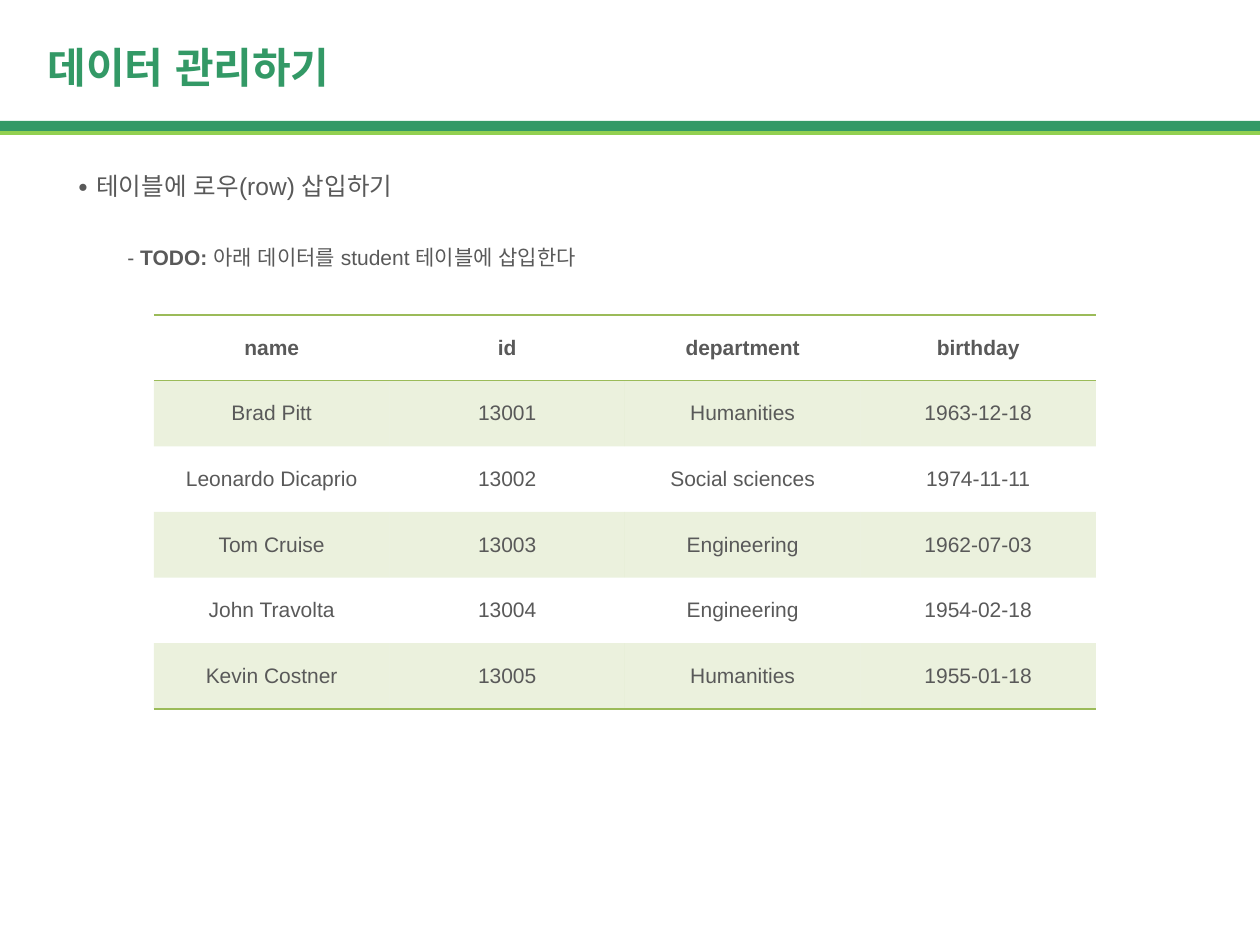
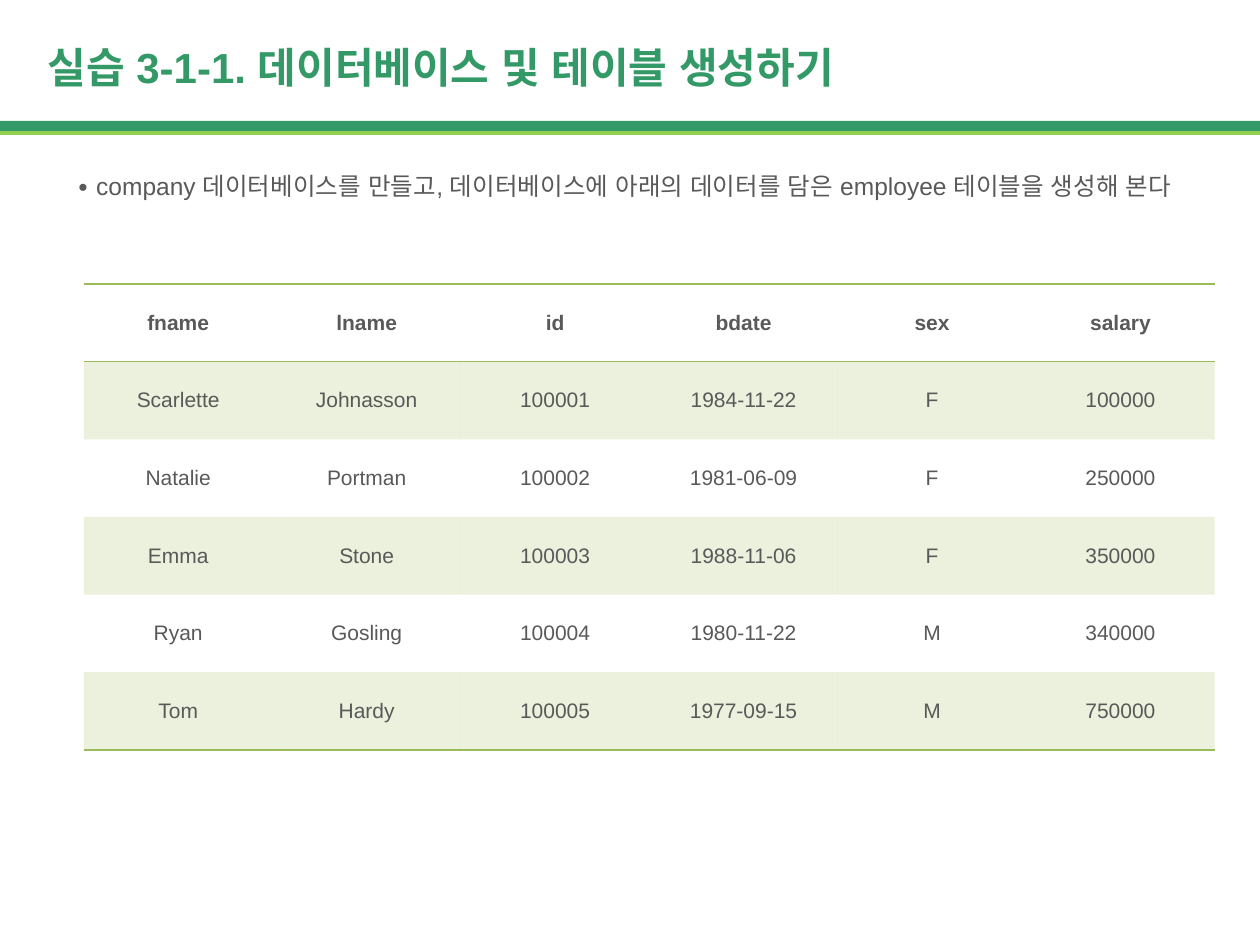
import dataclasses

import pptx
import pptx.dml.color
import pptx.enum.shapes
import pptx.enum.text
import pptx.oxml
import pptx.oxml.ns
import pptx.util

EMU_PER_PX = 914400 / 126
SLIDE_SIZE = (1260, 945)
NO_GRID_STYLE = "{2D5ABB26-0587-4C30-8999-92F81FD0307C}"


@dataclasses.dataclass(frozen=True)
class Theme:
    """Colours, fonts and type sizes shared by the slides."""

    green: str = "339966"
    lime: str = "92D050"
    olive: str = "9BBB59"
    ink: str = "595959"
    font: str = "Arial"
    bullet_font: str = "Noto Sans CJK KR"
    title: int = 24
    topic: int = 14
    detail: int = 12
    rule: int = 1
    band_alpha: int = 20


THEME = Theme()
TITLE_BOX = (35, 35, 63)
BANDS = (((0, 125, 1260, 10), THEME.lime), ((0, 121, 1260, 10), THEME.green))

STUDENTS = (
    ("name", "id", "department", "birthday"),
    ("Brad Pitt", "13001", "Humanities", "1963-12-18"),
    ("Leonardo Dicaprio", "13002", "Social sciences", "1974-11-11"),
    ("Tom Cruise", "13003", "Engineering", "1962-07-03"),
    ("John Travolta", "13004", "Engineering", "1954-02-18"),
    ("Kevin Costner", "13005", "Humanities", "1955-01-18"),
)
EMPLOYEES = (
    ("fname", "lname", "id", "bdate", "sex", "salary"),
    ("Scarlette", "Johnasson", "100001", "1984-11-22", "F", "100000"),
    ("Natalie", "Portman", "100002", "1981-06-09", "F", "250000"),
    ("Emma", "Stone", "100003", "1988-11-06", "F", "350000"),
    ("Ryan", "Gosling", "100004", "1980-11-22", "M", "340000"),
    ("Tom", "Hardy", "100005", "1977-09-15", "M", "750000"),
)


def px(*lengths):
    """Turn pixel lengths into EMU."""
    return [pptx.util.Emu(round(length * EMU_PER_PX)) for length in lengths]


def rgb(colour):
    """Turn a hex string into a colour value."""
    return pptx.dml.color.RGBColor.from_string(colour)


def add_run(paragraph, text, size, colour=THEME.ink, bold=False, name=THEME.font):
    """Add one formatted run, with the same font for Latin and Korean."""
    run = paragraph.add_run()
    run.text = text
    for key, value in {"size": pptx.util.Pt(size), "bold": bold, "name": name}.items():
        setattr(run.font, key, value)
    run.font.color.rgb = rgb(colour)
    east_asian = pptx.oxml.parse_xml(
        f'<a:ea {pptx.oxml.ns.nsdecls("a")} typeface="{name}"/>'
    )
    run.font._element.find(pptx.oxml.ns.qn("a:latin")).addnext(east_asian)


def add_line(slide, box, runs, wrap=True):
    """Place a text box that holds one paragraph of runs."""
    frame = slide.shapes.add_textbox(*px(*box)).text_frame
    settings = {
        "word_wrap": wrap,
        "auto_size": pptx.enum.text.MSO_AUTO_SIZE.SHAPE_TO_FIT_TEXT,
    }
    for key, value in settings.items():
        setattr(frame, key, value)
    for run in runs:
        add_run(frame.paragraphs[0], **run)


def add_header(slide, title, width):
    """Draw the two bands and the title above them."""
    for box, colour in BANDS:
        band = slide.shapes.add_shape(
            pptx.enum.shapes.MSO_SHAPE.RECTANGLE, *px(*box)
        )
        band.shadow.inherit = False
        band.fill.solid()
        band.fill.fore_color.rgb = rgb(colour)
        band.line.fill.background()
    left, top, height = TITLE_BOX
    heading = {"text": title, "size": THEME.title, "colour": THEME.green, "bold": True}
    add_line(slide, (left, top, width, height), [heading], wrap=False)


def add_topic(slide, text, height):
    """Place the bulleted topic line."""
    bullet = {"text": "∙ ", "size": THEME.topic, "name": THEME.bullet_font}
    add_line(slide, (63, 165, 1123, height), [bullet, {"text": text, "size": THEME.topic}])


def add_rule(cell, side):
    """Rule one side of a table cell, lnT or lnB."""
    properties = cell._tc.get_or_add_tcPr()
    rule = pptx.oxml.parse_xml(
        f'<a:{side} {pptx.oxml.ns.nsdecls("a")} w="{pptx.util.Pt(THEME.rule)}">'
        f'<a:solidFill><a:srgbClr val="{THEME.olive}"/></a:solidFill></a:{side}>'
    )
    position = len(properties.findall(pptx.oxml.ns.qn("a:lnT")))
    properties.insert(position, rule)


def fill_band(cell):
    """Tint a cell of a banded row."""
    cell.fill.solid()
    cell.fill.fore_color.rgb = rgb(THEME.olive)
    colour = next(cell._tc.tcPr.iter(pptx.oxml.ns.qn("a:srgbClr")))
    alpha = pptx.oxml.parse_xml(
        f'<a:alpha {pptx.oxml.ns.nsdecls("a")} val="{THEME.band_alpha * 1000}"/>'
    )
    colour.append(alpha)


def add_records(slide, box, records):
    """Draw a ruled, banded table with a bold header row."""
    frame = slide.shapes.add_table(len(records), len(records[0]), *px(*box))
    table = frame.table
    table._tbl.tblPr.find(pptx.oxml.ns.qn("a:tableStyleId")).text = NO_GRID_STYLE
    last = len(records) - 1
    for row, record in enumerate(records):
        for column, value in enumerate(record):
            cell = table.cell(row, column)
            cell.vertical_anchor = pptx.enum.text.MSO_ANCHOR.MIDDLE
            paragraph = cell.text_frame.paragraphs[0]
            paragraph.alignment = pptx.enum.text.PP_ALIGN.CENTER
            add_run(paragraph, value, THEME.detail, bold=row == 0)
            if row % 2:
                fill_band(cell)
            else:
                cell.fill.background()
            if row == 0:
                add_rule(cell, "lnT")
            if row in (0, last):
                add_rule(cell, "lnB")


def build_student_slide(slide):
    """Build the slide on inserting rows."""
    add_header(slide, "데이터 관리하기", 334)
    add_topic(slide, "테이블에 로우(row) 삽입하기", 43)
    task = [
        {"text": "- ", "size": THEME.detail},
        {"text": "TODO: ", "size": THEME.detail, "bold": True},
        {"text": "아래 데이터를 student 테이블에 삽입한다", "size": THEME.detail},
    ]
    add_line(slide, (115, 238, 1123, 38), task)
    add_records(slide, (154, 315, 942, 394), STUDENTS)


def build_employee_slide(slide):
    """Build the exercise slide on creating a table."""
    add_header(slide, "실습 3-1-1. 데이터베이스 및 테이블 생성하기", 873)
    add_topic(
        slide,
        "company 데이터베이스를 만들고, 데이터베이스에 아래의 데이터를 담은 "
        "employee 테이블을 생성해 본다",
        72,
    )
    add_records(slide, (84, 284, 1131, 466), EMPLOYEES)


def main():
    """Build and save the presentation."""
    deck = pptx.Presentation()
    deck.slide_width, deck.slide_height = px(*SLIDE_SIZE)
    for build in (build_student_slide, build_employee_slide):
        build(deck.slides.add_slide(deck.slide_layouts[6]))
    deck.save("out.pptx")


if __name__ == "__main__":
    main()
